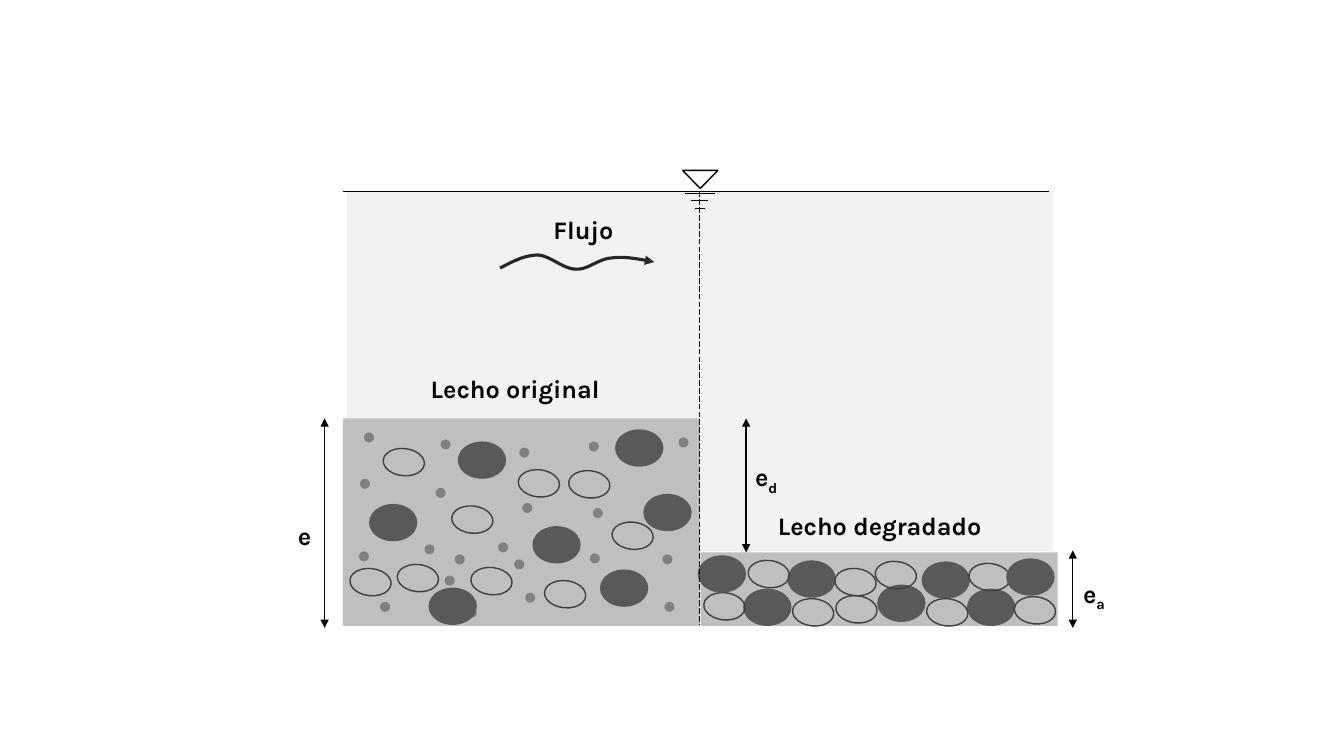
from lxml.etree import SubElement
from pptx import Presentation
from pptx.dml.color import RGBColor
from pptx.enum.dml import MSO_LINE
from pptx.enum.shapes import MSO_CONNECTOR, MSO_SHAPE as SHAPE
from pptx.enum.text import MSO_AUTO_SIZE as FIT, PP_ALIGN as ALIGN
from pptx.oxml.ns import qn
from pptx.util import Inches, Pt

# The slide is a fine grid; every position counts its columns and rows.
COLS, ROWS = 1333, 750
WIDTH, HEIGHT = Inches(13.33), Inches(7.5)

COLORS = {
    "ink": "000000",
    "water": "F2F2F2",
    "bed": "BFBFBF",
    "boulder": "595959",
    "cobble": "404040",
    "sand": "808080",
    "flow": "262626",
}

BED_TOP, BED_BOTTOM = 415, 621
DEGRADED_TOP = 548
WATER_LEVEL = 190
STEP_X = 694

# Left column and top row of each grain.
BACK_BOULDERS = [
    (366, 500), (528, 522), (610, 426), (454, 438), (595, 565),
    (737, 584), (870, 580), (914, 557), (781, 556), (959, 584),
]
FRONT_BOULDERS = [(692, 551), (998, 554), (638, 490), (425, 583)]
COBBLES = [
    (448, 502), (514, 466), (467, 563), (394, 560), (607, 518), (380, 445),
    (540, 576), (564, 467), (347, 564),
    (828, 564), (868, 557), (829, 591), (786, 594), (1006, 592),
    (698, 588), (919, 594), (961, 559), (742, 556),
]
SAND = [
    (434, 596), (451, 550), (494, 538), (441, 571), (377, 597), (510, 555),
    (518, 499), (521, 588), (588, 504), (585, 549), (584, 438), (515, 444),
    (356, 547), (421, 540), (357, 475), (432, 484), (437, 436), (659, 597),
    (657, 550), (660, 499), (673, 434), (463, 603), (361, 429),
]
FLOW_START = (496, 266)
FLOW_CURVES = [
    ((509, 259), (521, 253), (534, 253)),
    ((546, 254), (559, 267), (571, 267)),
    ((583, 268), (593, 257), (606, 256)),
    ((619, 254), (634, 257), (649, 260)),
]


def col(n):
    return round(WIDTH * n / COLS)


def row(n):
    return round(HEIGHT * n / ROWS)


def rgb(name):
    return RGBColor.from_string(COLORS[name])


def style_line(ln, color, weight, dash=None, heads=()):
    ln.color.rgb = rgb(color)
    ln.width = Pt(weight)
    if dash:
        ln.dash_style = dash
    for end in heads:
        SubElement(ln._get_or_add_ln(), qn(f"a:{end}"), type="triangle")


def add_shape(s, kind, x, y, w, h, fill=None, line=None, rotation=0):
    sp = s.shapes.add_shape(kind, col(x), row(y), col(w), row(h))
    sp.shadow.inherit = False
    sp.rotation = rotation
    if fill:
        sp.fill.solid()
        sp.fill.fore_color.rgb = rgb(fill)
    else:
        sp.fill.background()
    if line:
        style_line(sp.line, line, 1)
    else:
        sp.line.fill.background()


def add_line(s, x1, y1, x2, y2, weight=1, dash=None, heads=()):
    cxn = s.shapes.add_connector(
        MSO_CONNECTOR.STRAIGHT, col(x1), row(y1), col(x2), row(y2))
    style_line(cxn.line, "ink", weight, dash, heads)
    SubElement(cxn._element.spPr, qn("a:effectLst"))


def add_thickness_arrow(s, x, top, bottom):
    add_line(s, x, top, x, bottom, heads=("headEnd", "tailEnd"))


def add_text(s, text, x, y, w, h=40, align=ALIGN.CENTER, subscript=None):
    tf = s.shapes.add_textbox(col(x), row(y), col(w), row(h)).text_frame
    tf.word_wrap = True
    tf.auto_size = FIT.SHAPE_TO_FIT_TEXT
    p = tf.paragraphs[0]
    p.alignment = align
    for part in filter(None, (text, subscript)):
        r = p.add_run()
        r.text = part
        r.font.name = "Karla"
        r.font.size = Pt(18)
        r.font.bold = True
        r.font.color.rgb = rgb("ink")
        if part is subscript:
            r.font._element.set("baseline", "-25000")


def add_grains(s, places, w, h, **look):
    for x, y in places:
        add_shape(s, SHAPE.OVAL, x, y, w, h, **look)


def bezier(points, steps=16):
    """Points along a cubic curve, without its start."""
    for i in range(1, steps + 1):
        t = i / steps
        weights = ((1 - t) ** 3, 3 * t * (1 - t) ** 2, 3 * t * t * (1 - t), t ** 3)
        x, y = (sum(k * v for k, v in zip(weights, axis)) for axis in zip(*points))
        yield col(x), row(y)


def add_flow_arrow(s):
    start = FLOW_START
    wave = []
    for curve in FLOW_CURVES:
        wave += bezier((start, *curve))
        start = curve[-1]
    builder = s.shapes.build_freeform(col(FLOW_START[0]), row(FLOW_START[1]))
    builder.add_line_segments(wave, close=False)
    sp = builder.convert_to_shape()
    sp.shadow.inherit = False
    sp.fill.background()
    style_line(sp.line, "flow", 2.25, heads=("tailEnd",))


def add_water_level(s):
    add_line(s, 340, WATER_LEVEL, 1040, WATER_LEVEL)
    add_shape(s, SHAPE.ISOSCELES_TRIANGLE, 677, 169, 35, 18,
              line="ink", rotation=180)
    for y, half in ((192, 15), (199, 8.5), (207, 5)):
        add_line(s, STEP_X - half, y, STEP_X + half, y)


def add_beds(s):
    add_shape(s, SHAPE.RECTANGLE, 344, WATER_LEVEL, 700, 357, fill="water")
    add_shape(s, SHAPE.RECTANGLE, 695, DEGRADED_TOP, 354,
              BED_BOTTOM - DEGRADED_TOP, fill="bed")
    add_shape(s, SHAPE.RECTANGLE, 340, BED_TOP, 354,
              BED_BOTTOM - BED_TOP, fill="bed")
    add_grains(s, SAND, 10, 10, fill="sand")
    add_grains(s, BACK_BOULDERS, 48, 37, fill="boulder")
    add_grains(s, COBBLES, 41, 27, line="cobble", rotation=6)
    add_grains(s, FRONT_BOULDERS, 48, 37, fill="boulder")


def main():
    prs = Presentation()
    prs.slide_width, prs.slide_height = WIDTH, HEIGHT
    s = prs.slides.add_slide(prs.slide_layouts[6])

    add_beds(s)
    add_water_level(s)
    add_line(s, STEP_X, WATER_LEVEL, STEP_X, 619,
             weight=0.5, dash=MSO_LINE.LONG_DASH)
    add_flow_arrow(s)

    add_text(s, "Lecho original", 414, 365, 194)
    add_text(s, "Lecho degradado", 732, 501, 281)
    add_text(s, "Flujo", 539, 208, 194, align=ALIGN.LEFT)

    add_thickness_arrow(s, 322, BED_TOP, 623)
    add_thickness_arrow(s, 740, BED_TOP, DEGRADED_TOP)
    add_thickness_arrow(s, 1064, 546, 623)
    add_text(s, "e", 205, 511, 194)
    add_text(s, "e", 724, 453, 72, subscript="d")
    add_text(s, "e", 1049, 569, 72, subscript="a")

    prs.save("out.pptx")


if __name__ == "__main__":
    main()
